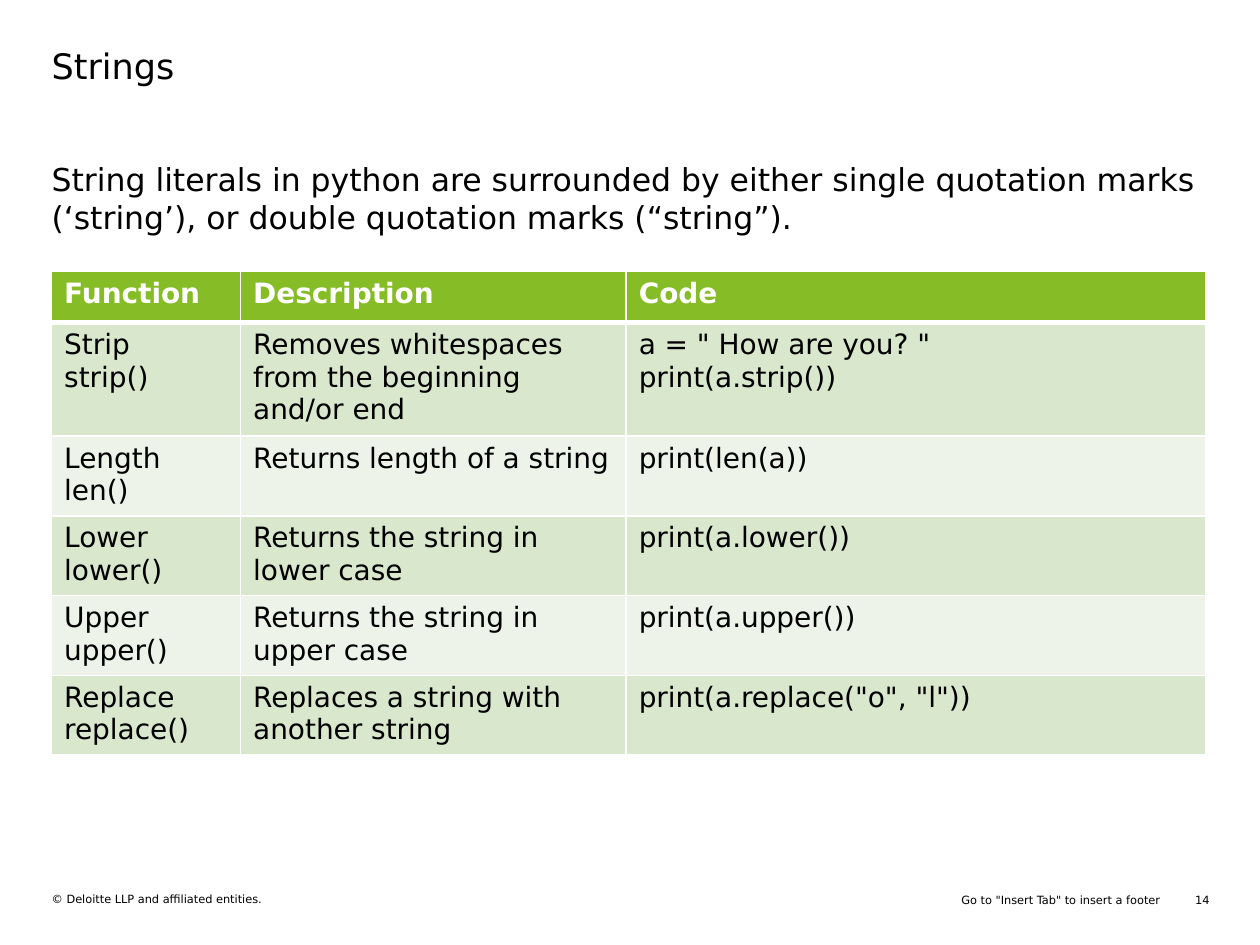
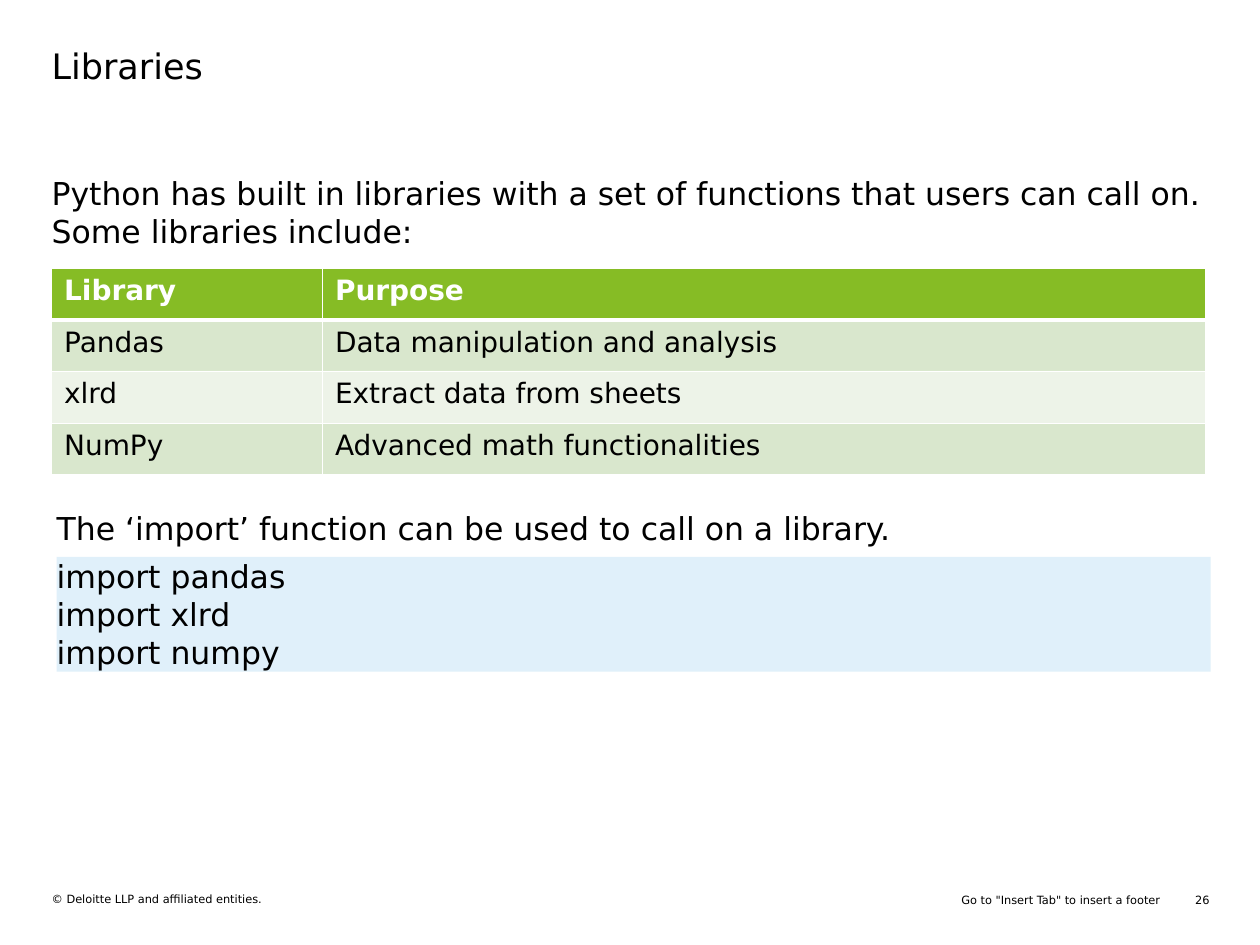
from lxml import etree
from pptx import Presentation
from pptx.dml.color import RGBColor
from pptx.enum.shapes import MSO_SHAPE
from pptx.enum.text import MSO_ANCHOR, PP_ALIGN
from pptx.oxml.ns import qn
from pptx.util import Inches, Pt

RECT = MSO_SHAPE.RECTANGLE
LEFT, RIGHT = PP_ALIGN.LEFT, PP_ALIGN.RIGHT
TOP, MIDDLE = MSO_ANCHOR.TOP, MSO_ANCHOR.MIDDLE

COLORS = {
    "text": "000000",
    "white": "FFFFFF",
    "header": "86BC25",
    "band_dark": "D9E7CD",
    "band_light": "EDF3E8",
    "code": "E0F0FA",
}
FONT = "DejaVu Sans"
MARGIN, CONTENT_W = 0.41, 9.16
INDENT = 0.45
ROW_H = 0.41
FOOTER_Y, FOOTER_H = 7.08, 0.13
TITLE_SIZE, BODY_SIZE, TABLE_SIZE, FOOTER_SIZE = 20, 18, 16, 6.5

STRING_ROWS = [
    ("Function", "Description", "Code"),
    ("Strip\nstrip()", "Removes whitespaces from the beginning and/or end",
     'a = " How are you? "\nprint(a.strip())'),
    ("Length\nlen()", "Returns length of a string", "print(len(a))"),
    ("Lower\nlower()", "Returns the string in lower case", "print(a.lower())"),
    ("Upper\nupper()", "Returns the string in upper case", "print(a.upper())"),
    ("Replace\nreplace()", "Replaces a string with another string",
     'print(a.replace("o", "l"))'),
]
LIBRARY_ROWS = [
    ("Library", "Purpose"),
    ("Pandas", "Data manipulation and analysis"),
    ("xlrd", "Extract data from sheets"),
    ("NumPy", "Advanced math functionalities"),
]


def rgb(name):
    return RGBColor.from_string(COLORS[name])


class Deck:
    def __init__(self):
        self.prs = Presentation()
        self.prs.slide_width = Inches(10)
        self.prs.slide_height = Inches(7.5)
        self.s = None

    def slide(self, title, number):
        self.s = self.prs.slides.add_slide(self.prs.slide_layouts[6])
        self.text("© Deloitte LLP and affiliated entities.",
                  (MARGIN, FOOTER_Y, 4.39, 0.22), FOOTER_SIZE)
        self.text(title, (MARGIN, 0.35, CONTENT_W, 0.37), TITLE_SIZE)
        self.text('Go to "Insert Tab" to insert a footer',
                  (7.11, FOOTER_Y, 2.1, FOOTER_H), FOOTER_SIZE, RIGHT, MIDDLE)
        self.text(str(number), (9.41, FOOTER_Y, 0.19, FOOTER_H),
                  FOOTER_SIZE, RIGHT, MIDDLE)

    def fill_text(self, tf, text, size, color="text", bold=False, align=LEFT):
        tf.text = text
        values = {"name": FONT, "size": Pt(size), "bold": bold}
        for p in tf.paragraphs:
            p.alignment = align
            for r in p.runs:
                for key, value in values.items():
                    setattr(r.font, key, value)
                r.font.color.rgb = rgb(color)

    def frame(self, tf, anchor=TOP):
        values = {"word_wrap": True, "vertical_anchor": anchor,
                  "margin_left": 0, "margin_top": 0,
                  "margin_right": 0, "margin_bottom": 0}
        for key, value in values.items():
            setattr(tf, key, value)

    def text(self, text, box, size=BODY_SIZE, align=LEFT, anchor=TOP):
        sp = self.s.shapes.add_textbox(*map(Inches, box))
        self.frame(sp.text_frame, anchor)
        self.fill_text(sp.text_frame, text, size, align=align)

    def code(self, text, box):
        sp = self.s.shapes.add_shape(RECT, *map(Inches, box))
        sp.shadow.inherit = False
        sp.fill.solid()
        sp.fill.fore_color.rgb = rgb("code")
        sp.line.fill.background()
        self.frame(sp.text_frame)
        self.fill_text(sp.text_frame, text, BODY_SIZE)

    def borders(self, cell, top, bottom):
        tc_pr = cell._tc.get_or_add_tcPr()
        for side, width in {"L": 1, "R": 1, "T": top, "B": bottom}.items():
            ln = etree.SubElement(tc_pr, qn(f"a:ln{side}"), w=str(Pt(width)))
            fill = etree.SubElement(ln, qn("a:solidFill"))
            etree.SubElement(fill, qn("a:srgbClr"), val=COLORS["white"])

    def table(self, rows, top, widths):
        box = (MARGIN, top, sum(widths), ROW_H * len(rows))
        table = self.s.shapes.add_table(
            len(rows), len(widths), *map(Inches, box)).table
        for column, width in zip(table.columns, widths):
            column.width = Inches(width)
        for i, row in enumerate(rows):
            table.rows[i].height = Inches(ROW_H)
            header = i == 0
            band = "header" if header else "band_dark" if i % 2 else "band_light"
            for j, text in enumerate(row):
                cell = table.cell(i, j)
                self.borders(cell, 3 if i == 1 else 1, 3 if header else 1)
                cell.fill.solid()
                cell.fill.fore_color.rgb = rgb(band)
                self.fill_text(cell.text_frame, text, TABLE_SIZE,
                               "white" if header else "text", header)


def main():
    deck = Deck()

    deck.slide("Strings", 14)
    deck.text("String literals in python are surrounded by either single "
              "quotation marks (‘string’), or double quotation marks (“string”).",
              (MARGIN, 1.27, CONTENT_W, 0.66))
    deck.table(STRING_ROWS, 2.15, (1.5, 3.06, 4.6))

    deck.slide("Libraries", 26)
    deck.text("Python has built in libraries with a set of functions that "
              "users can call on. Some libraries include:",
              (MARGIN, 1.38, CONTENT_W, 0.62))
    deck.table(LIBRARY_ROWS, 2.13, (2.15, 7.01))
    deck.text("The ‘import’ function can be used to call on a library.",
              (INDENT, 4.04, CONTENT_W, 0.31))
    deck.code("import pandas\nimport xlrd\nimport numpy",
              (INDENT, 4.42, CONTENT_W, 0.91))

    deck.prs.save("out.pptx")


if __name__ == "__main__":
    main()
